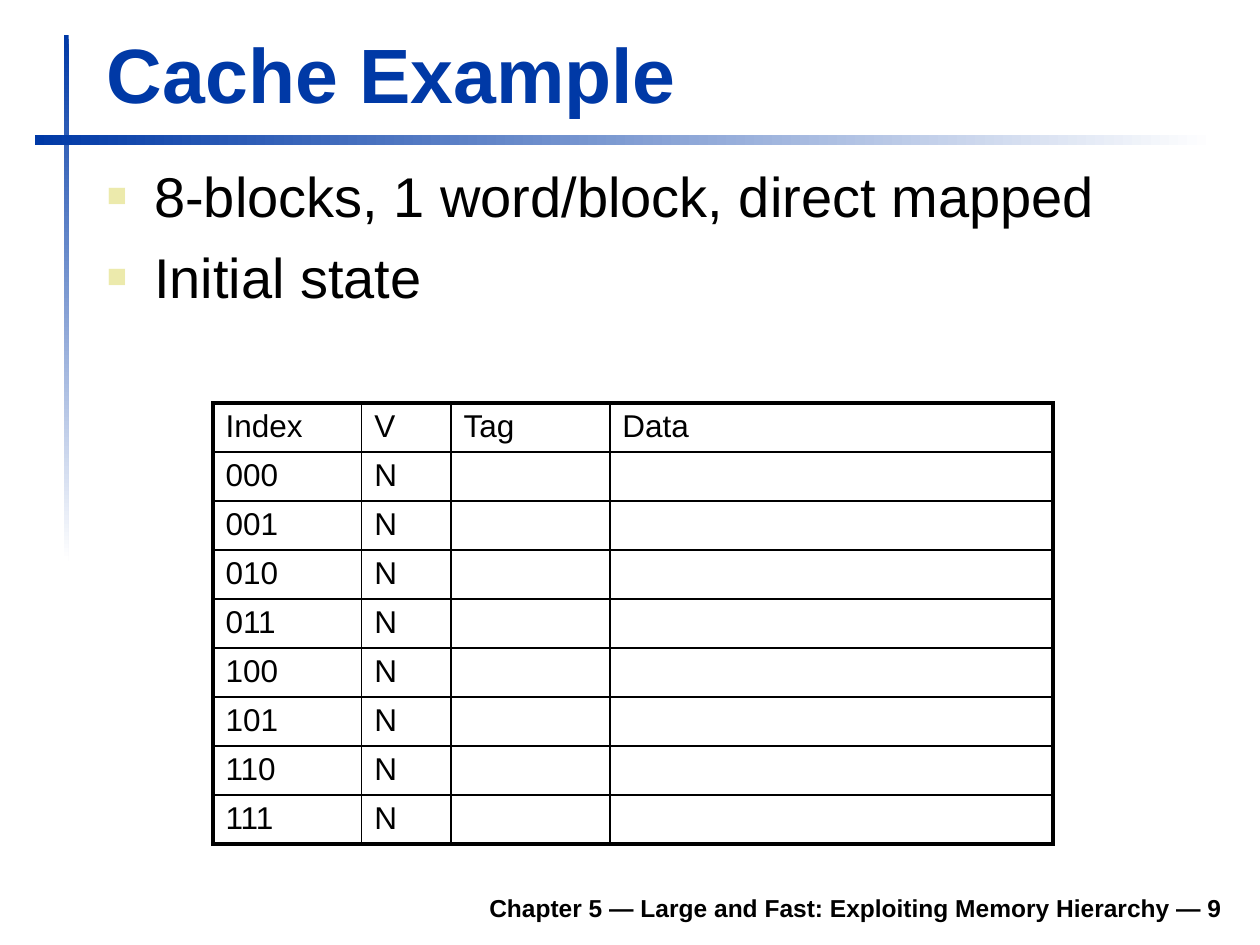
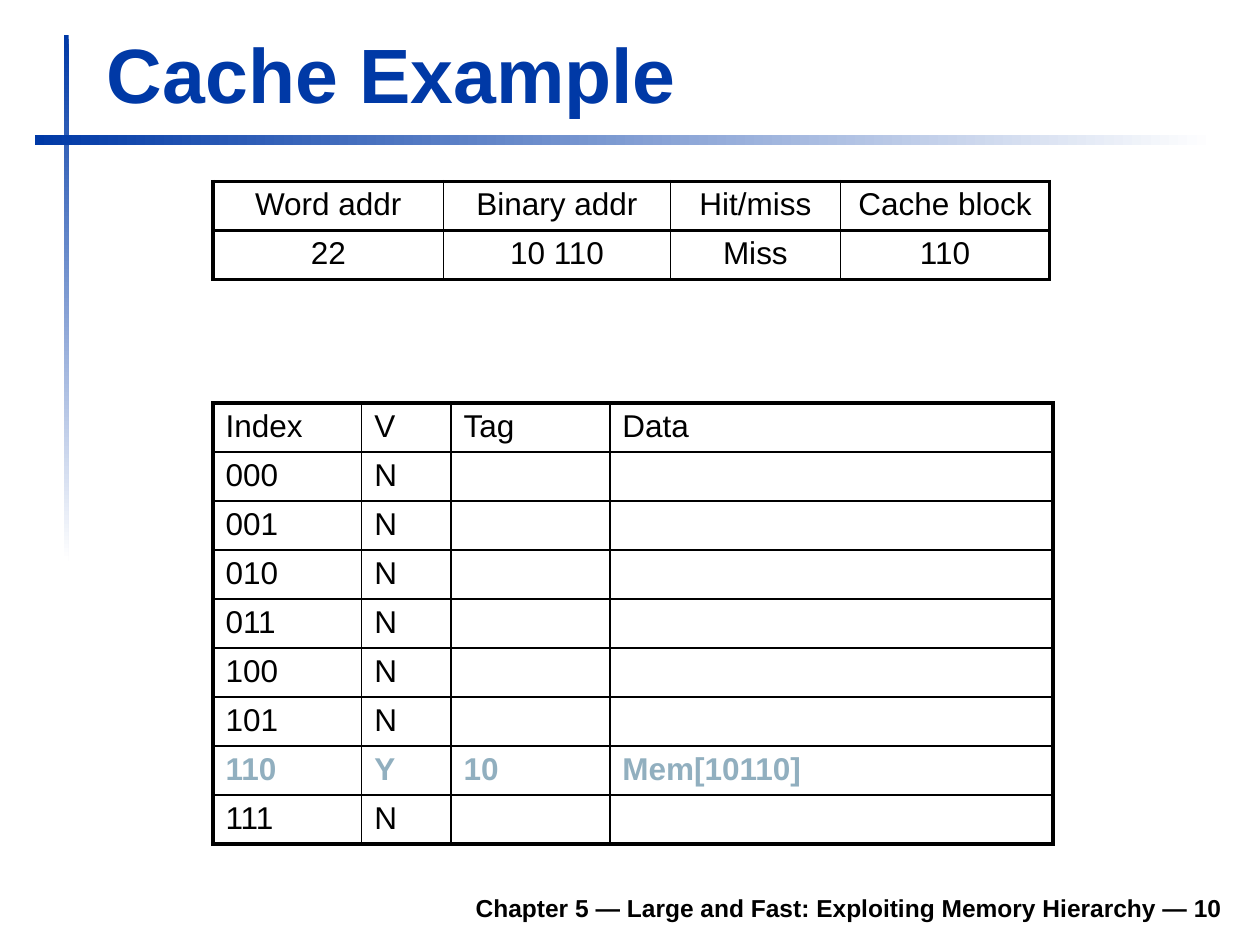
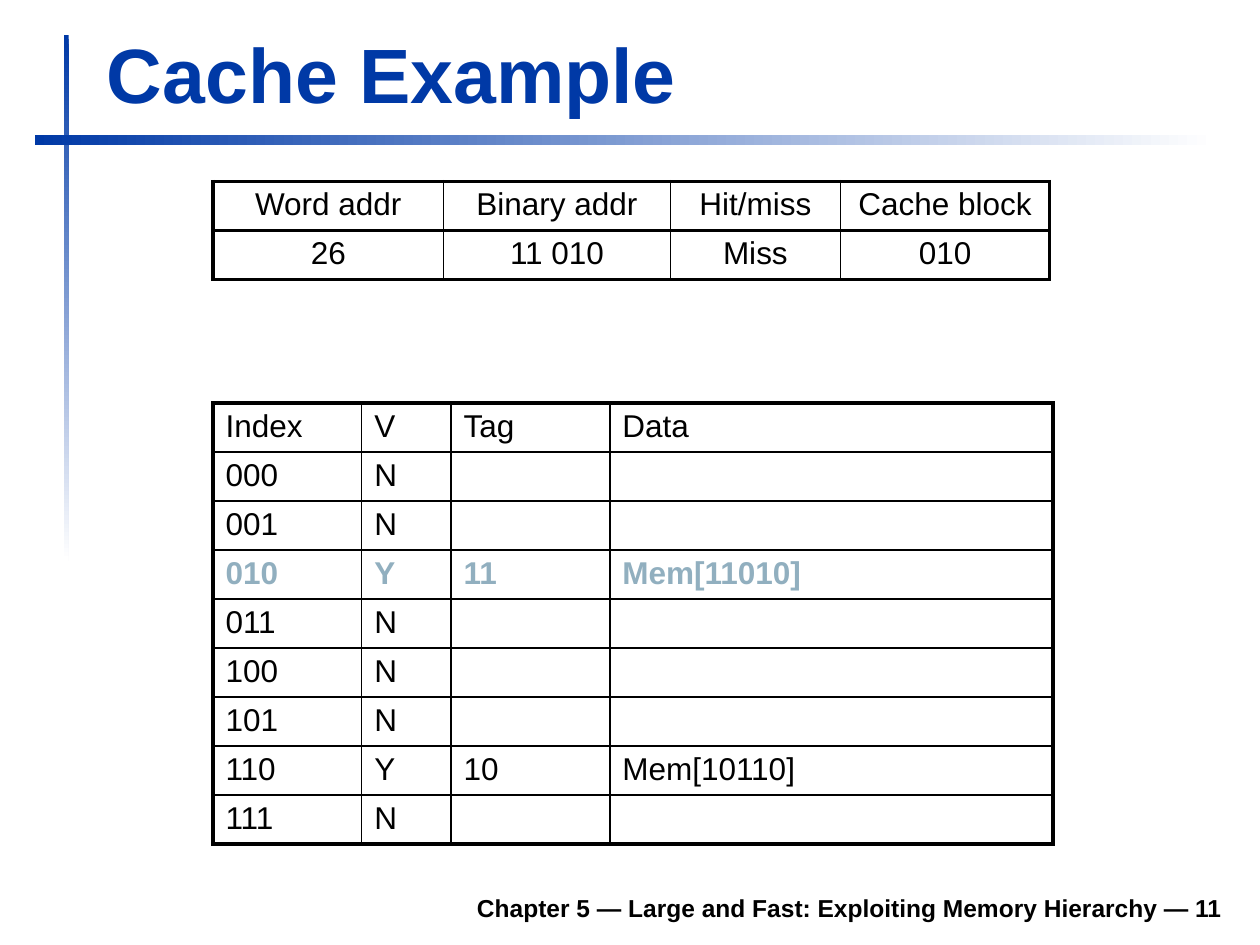
"""Build three slides that follow a direct-mapped cache through its first accesses."""
import lxml.etree
import pptx
import pptx.dml.color
import pptx.enum.shapes
import pptx.enum.text
import pptx.oxml
import pptx.oxml.ns
import pptx.util

Pt = pptx.util.Pt
ALIGN = pptx.enum.text.PP_ALIGN
ANCHOR = pptx.enum.text.MSO_ANCHOR

FONT = "Arial"
BLUE, WHITE, BLACK = "0039A6", "FFFFFF", "000000"
BULLET, HIGHLIGHT = "ECEAAC", "91AFBF"
OUTER, HEADER, INNER = 2.25, 1.5, 1
ROW_HEIGHT = 27.4
TABLE_LEFT = 121.7
TITLE = "Cache Example"
FOOTER = "Chapter 5 — Large and Fast: Exploiting Memory Hierarchy — {}"
ACCESS_HEADER = ["Word addr", "Binary addr", "Hit/miss", "Cache block"]
ACCESS_WIDTHS = [131.8, 129.6, 97.2, 119.5]
CACHE_HEADER = ["Index", "V", "Tag", "Data"]
CACHE_WIDTHS = [85, 51.1, 90.7, 253.4]


def color(value):
    return pptx.dml.color.RGBColor.from_string(value)


def add_xml(parent, tag, **attributes):
    return lxml.etree.SubElement(parent, pptx.oxml.ns.qn(tag), attributes)


class SlideWriter:
    """Hold the deck's style and the current page, and draw each kind of element."""

    def __init__(self, deck):
        self.deck = deck
        self.page = None

    def start_page(self, number):
        self.page = self.deck.slides.add_slide(self.deck.slide_layouts[6])
        self.band(36.7, 20.2, 2.6, 300.2, 270)
        self.band(19.8, 77.2, 674.6, 5.7, 0)
        self.text(133.2, 502.6, 572.4, 28.1, [FOOTER.format(number)], 14,
                  bold=True, align=ALIGN.RIGHT, anchor=ANCHOR.BOTTOM)
        self.text(54, 11.5, 650.2, 59.8, [TITLE], 44, BLUE, bold=True,
                  anchor=ANCHOR.BOTTOM)

    def band(self, left, top, width, height, angle):
        box = self.page.shapes.add_shape(
            pptx.enum.shapes.MSO_SHAPE.RECTANGLE, Pt(left), Pt(top), Pt(width), Pt(height))
        box.shadow.inherit = False
        box.line.fill.background()
        box.fill.gradient()
        box.fill.gradient_angle = angle
        for stop, shade in zip(box.fill.gradient_stops, (BLUE, WHITE)):
            stop.color.rgb = color(shade)

    def style(self, para, size, shade=BLACK, bold=False, align=ALIGN.LEFT):
        para.alignment = align
        para.font.name = FONT
        para.font.size = Pt(size)
        para.font.bold = bold
        para.font.color.rgb = color(shade)

    def text(self, left, top, width, height, lines, size, shade=BLACK,
             bold=False, align=ALIGN.LEFT, anchor=ANCHOR.TOP):
        box = self.page.shapes.add_textbox(Pt(left), Pt(top), Pt(width), Pt(height))
        frame = box.text_frame
        frame.word_wrap = True
        frame.vertical_anchor = anchor
        frame.text = "\n".join(lines)
        for para in frame.paragraphs:
            self.style(para, size, shade, bold, align)
        return frame

    def bullets(self, left, top, width, height, lines, size):
        frame = self.text(left, top, width, height, lines, size)
        for para in frame.paragraphs:
            para.space_before = Pt(8)
            properties = para._p.get_or_add_pPr()
            properties.set("marL", str(Pt(27)))
            properties.set("indent", str(Pt(-27)))
            marks = lxml.etree.Element("marks")
            add_xml(add_xml(marks, "a:buClr"), "a:srgbClr", val=BULLET)
            add_xml(marks, "a:buSzPct", val="60000")
            add_xml(marks, "a:buFont", typeface=FONT)
            add_xml(marks, "a:buChar", char="■")
            default_font = properties.find(pptx.oxml.ns.qn("a:defRPr"))
            for mark in list(marks):
                default_font.addprevious(mark)

    def borders(self, cell, **widths):
        properties = cell._tc.get_or_add_tcPr()
        for side, width in widths.items():
            line = add_xml(properties, f"a:ln{side}", w=str(Pt(width)))
            add_xml(add_xml(line, "a:solidFill"), "a:srgbClr", val=BLACK)

    def table(self, top, widths, rows, align=ALIGN.LEFT, marked=None):
        last_row, last_column = len(rows) - 1, len(widths) - 1
        grid = self.page.shapes.add_table(
            len(rows), len(widths), Pt(TABLE_LEFT), Pt(top),
            Pt(sum(widths)), Pt(ROW_HEIGHT * len(rows))).table
        grid.first_row = grid.horz_banding = False
        for column, width in zip(grid.columns, widths):
            column.width = Pt(width)
        for r, values in enumerate(rows):
            grid.rows[r].height = Pt(ROW_HEIGHT)
            shade, bold = (HIGHLIGHT, True) if values[0] == marked else (BLACK, False)
            for c, value in enumerate(values):
                cell = grid.cell(r, c)
                cell.margin_top = cell.margin_bottom = Pt(3.2)
                self.borders(
                    cell,
                    L=OUTER if c == 0 else INNER,
                    R=OUTER if c == last_column else INNER,
                    T={0: OUTER, 1: HEADER}.get(r, INNER),
                    B=OUTER if r == last_row else HEADER if r == 0 else INNER)
                cell.fill.background()
                cell.text = value
                self.style(cell.text_frame.paragraphs[0], 18, shade, bold, align)

    def access_table(self, access):
        self.table(103.7, ACCESS_WIDTHS, [ACCESS_HEADER, access], ALIGN.CENTER)

    def cache_table(self, tags, marked=None):
        rows = [CACHE_HEADER]
        for index in (f"{number:03b}" for number in range(8)):
            tag = tags.get(index)
            rows.append([index, "Y", tag, f"Mem[{tag}{index}]"] if tag
                        else [index, "N", "", ""])
        self.table(230.4, CACHE_WIDTHS, rows, marked=marked)


def main():
    deck = pptx.Presentation()
    deck.slide_width, deck.slide_height = Pt(720), Pt(540)
    writer = SlideWriter(deck)

    writer.start_page(9)
    writer.bullets(54, 88.6, 651.6, 105.1,
                   ["8-blocks, 1 word/block, direct mapped", "Initial state"], 32)
    writer.cache_table({})

    tags = {}
    for number, word, tag, index in ((10, "22", "10", "110"), (11, "26", "11", "010")):
        tags[index] = tag
        writer.start_page(number)
        writer.cache_table(tags, marked=index)
        writer.access_table([word, f"{tag} {index}", "Miss", index])

    deck.save("out.pptx")


if __name__ == "__main__":
    main()
